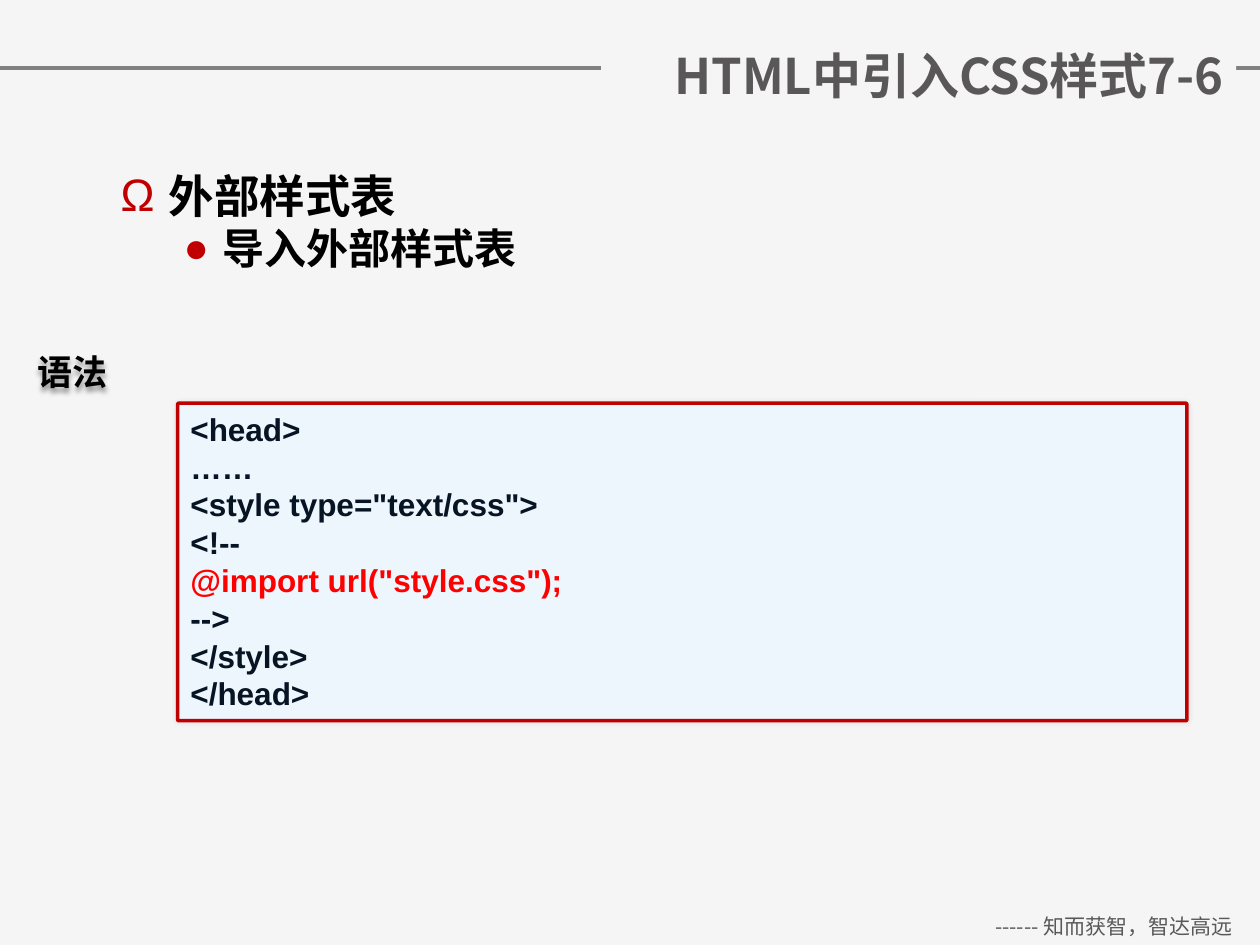
from dataclasses import dataclass

from lxml.etree import SubElement
from pptx import Presentation
from pptx.dml.color import RGBColor
from pptx.enum.shapes import MSO_CONNECTOR, MSO_SHAPE
from pptx.enum.text import MSO_ANCHOR, PP_ALIGN
from pptx.oxml.ns import qn
from pptx.util import Inches, Pt

COLORS = {
    "background": "F5F5F5",
    "rule": "808080",
    "footer": "595959",
    "title": "595758",
    "text": "000000",
    "accent": "C00000",
    "code_fill": "EDF5FD",
    "code": "071424",
    "highlight": "FF0000",
}
CJK_FONT = "Noto Sans CJK SC"
CODE_FONT = "Arial"


@dataclass
class Bullet:
    text: str
    size: int
    level: int
    symbol: str
    margin: float
    hanging: float


BULLETS = [
    Bullet("外部样式表", 26, 0, "Ω", 0.38, 0.38),
    Bullet("导入外部样式表", 24, 1, "●", 0.81, 0.31),
]
IMPORT_LINE = '@import url("style.css");'
CODE_LINES = [
    "<head>",
    "……",
    '<style type="text/css">',
    "<!--",
    IMPORT_LINE,
    "-->",
    "</style>",
    "</head>",
]


def color(name: str) -> RGBColor:
    return RGBColor.from_string(COLORS[name])


def place(shape, left: float, top: float, width: float, height: float) -> None:
    shape.left, shape.top = Inches(left), Inches(top)
    shape.width, shape.height = Inches(width), Inches(height)


def format_runs(paragraph, font_name: str, size: int, color_name: str, bold: bool = True) -> None:
    for run in paragraph.runs:
        run.font.name = font_name
        run.font.size = Pt(size)
        run.font.bold = bold
        run.font.color.rgb = color(color_name)
        SubElement(run.font._element, qn("a:ea"), typeface=font_name)


def add_text(slide, left: float, top: float, width: float, height: float, wrap: bool = True):
    box = slide.shapes.add_textbox(Inches(left), Inches(top), Inches(width), Inches(height))
    box.text_frame.word_wrap = wrap
    return box


def add_soft_shadow(shape, opacity: int, blur: float, distance: float = 0) -> None:
    """Give the shape a blurred black shadow that falls downwards."""
    effects = SubElement(shape.element.spPr, qn("a:effectLst"))
    shadow = SubElement(
        effects, qn("a:outerShdw"), blurRad=str(Pt(blur)), dist=str(Pt(distance)),
        dir="5400000", algn="ctr", rotWithShape="0",
    )
    black = SubElement(shadow, qn("a:srgbClr"), val=COLORS["text"])
    SubElement(black, qn("a:alpha"), val=str(opacity * 1000))


def add_title(slide) -> None:
    title = slide.shapes.title
    place(title, 4.77, 0.31, 5.04, 0.57)
    title.fill.solid()
    title.fill.fore_color.rgb = color("background")
    title.text_frame.text = "HTML中引入CSS样式7-6"
    title.text_frame.vertical_anchor = MSO_ANCHOR.MIDDLE
    paragraph = title.text_frame.paragraphs[0]
    paragraph.alignment = PP_ALIGN.RIGHT
    format_runs(paragraph, CJK_FONT, 28, "title")


def add_rule_behind_title(slide) -> None:
    rule = slide.shapes.add_connector(
        MSO_CONNECTOR.STRAIGHT, Inches(0), Inches(0.54), Inches(10), Inches(0.54)
    )
    rule.line.color.rgb = color("rule")
    rule.line.width = Pt(2)
    SubElement(rule.element.spPr, qn("a:effectLst"))
    slide.shapes.title.element.addprevious(rule.element)


def add_footer(slide) -> None:
    footer = add_text(slide, 7.68, 7.2, 2.32, 0.3)
    footer.text_frame.text = "------ 知而获智，智达高远"
    paragraph = footer.text_frame.paragraphs[0]
    paragraph.alignment = PP_ALIGN.CENTER
    format_runs(paragraph, CJK_FONT, 12, "footer", bold=False)


def add_bullets(slide, bullets: list[Bullet]) -> None:
    frame = add_text(slide, 0.86, 1.33, 8.36, 5.63).text_frame
    frame.text = "\n".join(bullet.text for bullet in bullets)
    for index, (paragraph, bullet) in enumerate(zip(frame.paragraphs, bullets)):
        properties = paragraph._p.get_or_add_pPr()
        properties.set("marL", str(Inches(bullet.margin)))
        properties.set("indent", str(-Inches(bullet.hanging)))
        bullet_color = SubElement(properties, qn("a:buClr"))
        SubElement(bullet_color, qn("a:srgbClr"), val=COLORS["accent"])
        SubElement(properties, qn("a:buFont"), typeface=CODE_FONT)
        SubElement(properties, qn("a:buChar"), char=bullet.symbol)
        paragraph.level = bullet.level
        paragraph.line_spacing = 0.9
        if index:
            paragraph.space_before = Pt(3)
        format_runs(paragraph, CJK_FONT, bullet.size, "text")


def add_code_panel(slide, lines: list[str]) -> None:
    panel = slide.shapes.add_shape(
        MSO_SHAPE.ROUNDED_RECTANGLE, Inches(1.41), Inches(3.2), Inches(8.01), Inches(2.52)
    )
    panel.adjustments[0] = 0.004
    panel.fill.solid()
    panel.fill.fore_color.rgb = color("code_fill")
    panel.line.color.rgb = color("accent")
    panel.line.width = Pt(2)
    add_soft_shadow(panel, opacity=10, blur=3)
    frame = panel.text_frame
    frame.word_wrap = True
    frame.vertical_anchor = MSO_ANCHOR.TOP
    frame.text = "\n".join(lines)
    for paragraph in frame.paragraphs:
        paragraph.alignment = PP_ALIGN.LEFT
        paragraph.line_spacing = Pt(21.6)
        color_name = "highlight" if paragraph.text == IMPORT_LINE else "code"
        format_runs(paragraph, CODE_FONT, 18, color_name)


def add_syntax_label(slide) -> None:
    label = add_text(slide, 0.2, 2.73, 0.77, 0.44, wrap=False)
    add_soft_shadow(label, opacity=40, blur=3, distance=2)
    label.text_frame.text = "语法"
    label.text_frame.vertical_anchor = MSO_ANCHOR.MIDDLE
    format_runs(label.text_frame.paragraphs[0], CJK_FONT, 20, "text")


def main() -> None:
    presentation = Presentation()
    presentation.slide_width = Inches(10)
    presentation.slide_height = Inches(7.5)
    slide = presentation.slides.add_slide(presentation.slide_layouts.get_by_name("Title Only"))
    slide.background.fill.solid()
    slide.background.fill.fore_color.rgb = color("background")

    add_title(slide)
    add_rule_behind_title(slide)
    add_footer(slide)
    add_bullets(slide, BULLETS)
    add_code_panel(slide, CODE_LINES)
    add_syntax_label(slide)
    presentation.save("out.pptx")


if __name__ == "__main__":
    main()
